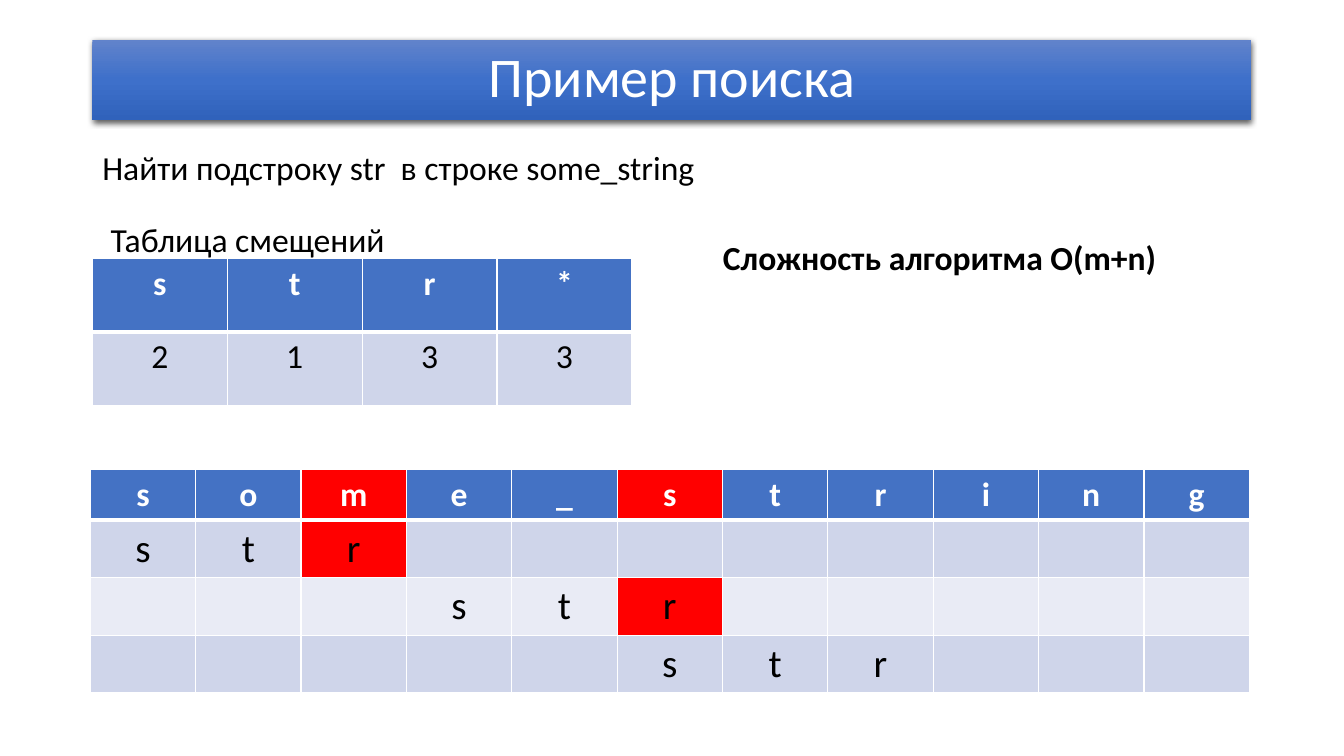
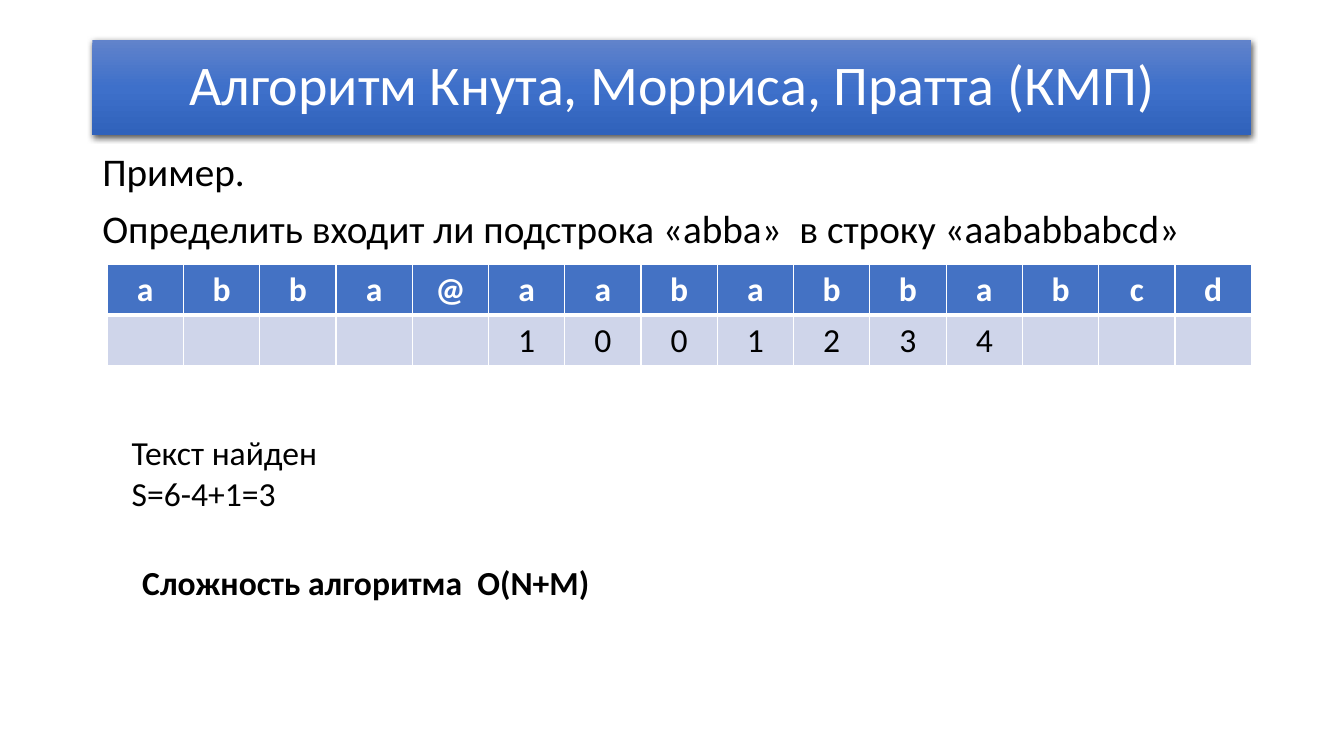
from copy import deepcopy
from dataclasses import dataclass
from typing import Any

from lxml.etree import SubElement
from pptx import Presentation
from pptx.dml.color import RGBColor
from pptx.enum.shapes import MSO_SHAPE as Shape
from pptx.enum.text import MSO_ANCHOR as Anchor, PP_ALIGN as Align
from pptx.oxml.ns import qn
from pptx.slide import Slide
from pptx.table import _Cell as Cell
from pptx.util import Emu, Pt

# Shared look
EMU_PER_PX = 9525
SLIDE_SIZE = (1280, 720)
FONT = "Calibri"
WHITE, BLACK, RED = "FFFFFF", "000000", "FF0000"
HEADER_FILL = "4472C4"
BAND_FILLS = ("CFD5EA", "E9EBF5")
TITLE_STOPS = ((0, "6183CB"), (0.5, "3E70CA"), (1, "3062BB"))
LEFT, TITLE_TOP, CONTENT_WIDTH = 88, 38, 1104
LINE_HEIGHT = 48
THIN, THICK = 1, 3


@dataclass(frozen=True)
class Box:
    left: int
    top: int
    width: int
    height: int = LINE_HEIGHT


@dataclass(frozen=True)
class TextStyle:
    size: int = 24
    color: str = BLACK
    bold: bool = False
    paragraph: tuple[tuple[str, Any], ...] = ()


@dataclass(frozen=True)
class Label:
    box: Box
    lines: tuple[str, ...]
    style: TextStyle = TextStyle()


@dataclass(frozen=True)
class Row:
    """Letters written one per cell, beginning at column start."""
    letters: str
    start: int = 0
    marked: tuple[int, ...] = ()
    height: int = LINE_HEIGHT
    size: int = 24


@dataclass(frozen=True)
class Grid:
    left: int
    top: int
    width: int
    rows: tuple[Row, ...]


@dataclass(frozen=True)
class Page:
    title: str
    title_height: int
    grids: tuple[Grid, ...]
    labels: tuple[Label, ...]


BOLD = TextStyle(bold=True)
CENTERED = (("alignment", Align.CENTER),)
TITLE_STYLE = TextStyle(40, WHITE, paragraph=CENTERED + (("line_spacing", 0.9),))
BODY_STYLE = TextStyle(28, paragraph=(("line_spacing", 0.9), ("space_before", Pt(10))))


def px(length: int) -> Emu:
    return Emu(length * EMU_PER_PX)


def rgb(color: str) -> RGBColor:
    return RGBColor.from_string(color)


def place(box: Box) -> tuple[Emu, ...]:
    return px(box.left), px(box.top), px(box.width), px(box.height)


def write(text_frame: Any, lines: tuple[str, ...], style: TextStyle) -> None:
    text_frame.word_wrap = True
    font_values = {"name": FONT, "size": Pt(style.size), "bold": style.bold}
    for index, line in enumerate(lines):
        paragraph = text_frame.add_paragraph() if index else text_frame.paragraphs[0]
        for name, value in style.paragraph:
            setattr(paragraph, name, value)
        run = paragraph.add_run()
        run.text = line
        for name, value in font_values.items():
            setattr(run.font, name, value)
        run.font.color.rgb = rgb(style.color)


def add_title(slide: Slide, text: str, height: int) -> None:
    box = Box(LEFT, TITLE_TOP, CONTENT_WIDTH, height)
    shape = slide.shapes.add_shape(Shape.RECTANGLE, *place(box))
    shape.line.fill.background()

    # Three-stop gradient, running downwards
    shape.fill.gradient()
    shape.fill.gradient_angle = 270
    properties = shape.element.spPr
    stop_list = properties.find(".//" + qn("a:gsLst"))
    stop_list.append(deepcopy(stop_list[-1]))
    for stop, (position, color) in zip(shape.fill.gradient_stops, TITLE_STOPS):
        stop.position = position
        stop.color.rgb = rgb(color)

    # Soft shadow below the band
    shape.shadow.inherit = False
    effects = properties.find(qn("a:effectLst"))
    shadow = SubElement(effects, qn("a:outerShdw"), blurRad=str(Pt(4.5)),
                        dist=str(Pt(1.5)), dir="5400000", rotWithShape="0")
    color = SubElement(shadow, qn("a:srgbClr"), val=BLACK)
    SubElement(color, qn("a:alpha"), val="63000")

    shape.text_frame.vertical_anchor = Anchor.MIDDLE
    write(shape.text_frame, (text,), TITLE_STYLE)


def add_label(slide: Slide, label: Label) -> None:
    text_box = slide.shapes.add_textbox(*place(label.box))
    write(text_box.text_frame, label.lines, label.style)


def set_borders(cell: Cell, top: int, bottom: int) -> None:
    properties = cell._tc.get_or_add_tcPr()
    widths = {"a:lnL": THIN, "a:lnR": THIN, "a:lnT": top, "a:lnB": bottom}
    for tag, width in widths.items():
        line = SubElement(properties, qn(tag), w=str(Pt(width)))
        SubElement(SubElement(line, qn("a:solidFill")), qn("a:srgbClr"), val=WHITE)


def add_grid(slide: Slide, grid: Grid) -> None:
    column_count = len(grid.rows[0].letters)
    box = Box(grid.left, grid.top, grid.width, sum(row.height for row in grid.rows))
    table = slide.shapes.add_table(len(grid.rows), column_count, *place(box)).table
    for row_index, row in enumerate(grid.rows):
        is_header = row_index == 0
        table.rows[row_index].height = px(row.height)
        fill = HEADER_FILL if is_header else BAND_FILLS[(row_index - 1) % 2]
        style = TextStyle(row.size, WHITE if is_header else BLACK, is_header, CENTERED)
        letters = dict(enumerate(row.letters, row.start))
        for column in range(column_count):
            cell = table.cell(row_index, column)
            set_borders(cell, THICK if row_index == 1 else THIN,
                        THICK if is_header else THIN)
            cell.fill.solid()
            cell.fill.fore_color.rgb = rgb(RED if column in row.marked else fill)
            if column in letters:
                write(cell.text_frame, (letters[column],), style)


# Slide content
PAGES = (
    Page(
        "Пример поиска", 76,
        grids=(
            Grid(86, 447, CONTENT_WIDTH, (
                Row("some_string", marked=(2, 5)),
                Row("str", marked=(2,), height=55, size=28),
                Row("str", start=3, marked=(5,), height=55, size=28),
                Row("str", start=5, height=55, size=28),
            )),
            Grid(LEFT, 246, 514, (Row("str*", height=70), Row("2133", height=70))),
        ),
        labels=(
            Label(Box(LEFT, 135, 708), ("Найти подстроку str  в строке some_string",)),
            Label(Box(96, 204, 369), ("Таблица смещений",)),
            Label(Box(679, 221, 473), ("Сложность алгоритма O(m+n)",), BOLD),
        ),
    ),
    Page(
        "Алгоритм Кнута, Морриса, Пратта (КМП)", 91,
        grids=(
            Grid(102, 252, 1090, (Row("abba@aababbabcd"), Row("1001234", start=5))),
        ),
        labels=(
            Label(Box(LEFT, 141, CONTENT_WIDTH, 508), (
                "Пример.",
                "Определить входит ли подстрока «abba»  в строку «aababbabcd»",
            ), BODY_STYLE),
            Label(Box(116, 407, 651, 87), ("Текст найден", "S=6-4+1=3")),
            Label(Box(126, 530, 845), ("Сложность алгоритма  O(N+M)",), BOLD),
        ),
    ),
)


def main() -> None:
    presentation = Presentation()
    presentation.slide_width, presentation.slide_height = map(px, SLIDE_SIZE)
    blank_layout = presentation.slide_layouts[6]
    for page in PAGES:
        slide = presentation.slides.add_slide(blank_layout)
        add_title(slide, page.title, page.title_height)
        for label in page.labels:
            add_label(slide, label)
        for grid in page.grids:
            add_grid(slide, grid)
    presentation.save("out.pptx")


if __name__ == "__main__":
    main()
